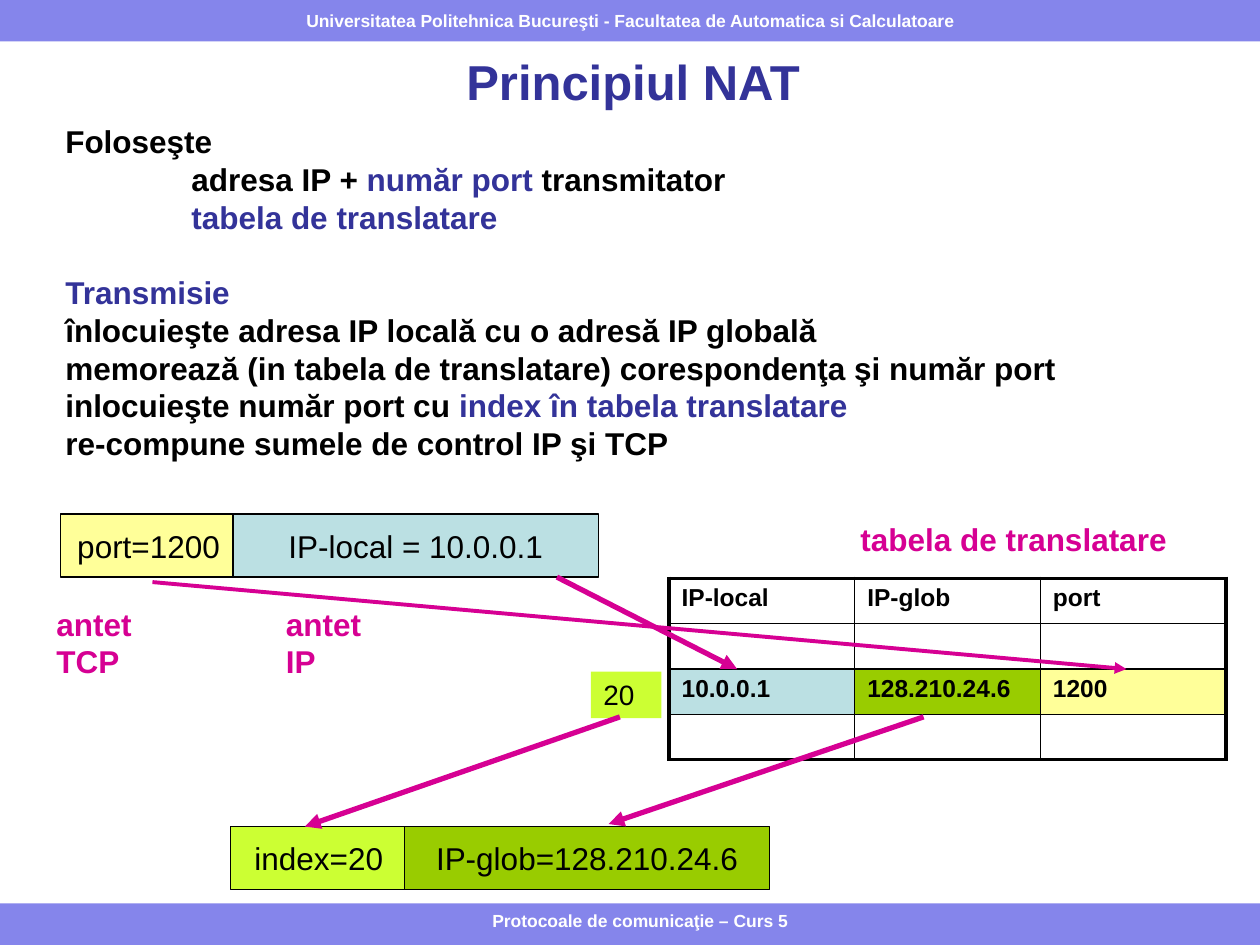
from pptx import Presentation
from pptx.dml.color import RGBColor
from pptx.enum.shapes import MSO_CONNECTOR, MSO_SHAPE
from pptx.enum.text import MSO_ANCHOR, PP_ALIGN
from pptx.oxml.ns import qn
from pptx.util import Inches, Pt
from lxml.etree import SubElement

COLORS = {
    "band": "8585EB",
    "white": "FFFFFF",
    "black": "000000",
    "navy": "333399",
    "magenta": "D60093",
    "yellow": "FFFF99",
    "aqua": "BBE0E3",
    "lime": "CCFF33",
    "green": "99CC00",
}

BODY = [
    (0, 0, [("Foloseşte", "black")]),
    (1, 0, [("adresa IP + ", "black"), ("număr port", "navy"), (" transmitator", "black")]),
    (1, 0, [("tabela de translatare", "navy")]),
    (0, 21.5, [("Transmisie", "navy")]),
    (0, 0, [("înlocuieşte adresa IP locală cu o adresă IP globală", "black")]),
    (0, 0, [("memorează (in tabela de translatare) corespondenţa şi număr port", "black")]),
    (0, 0, [("inlocuieşte număr port cu ", "black"), ("index în tabela translatare", "navy")]),
    (0, 0, [("re-compune sumele de control IP şi TCP", "black")]),
]

TABLE_ROWS = [
    ["IP-local", "IP-glob", "port"],
    ["", "", ""],
    ["10.0.0.1", "128.210.24.6", "1200"],
    ["", "", ""],
]
ENTRY_ROW = 2
ENTRY_FILLS = ["aqua", "green", "yellow"]


def rgb(name):
    return RGBColor.from_string(COLORS[name])


def format_font(font, size, color, bold):
    font.name = "Arial"
    font.size = Pt(size)
    font.bold = bold
    font.color.rgb = rgb(color)


def write_text(shape, text, size, color, bold, align, anchor, wrap=True):
    text_frame = shape.text_frame
    text_frame.text = text
    text_frame.word_wrap = wrap
    text_frame.vertical_anchor = anchor
    paragraph = text_frame.paragraphs[0]
    paragraph.alignment = align
    format_font(paragraph.runs[0].font, size, color, bold)


def add_label(slide, box, text, size, color, align=PP_ALIGN.LEFT, anchor=MSO_ANCHOR.TOP):
    shape = slide.shapes.add_textbox(*map(Inches, box))
    write_text(shape, text, size, color, True, align, anchor)


def add_box(slide, box, fill, outlined=False):
    shape = slide.shapes.add_shape(MSO_SHAPE.RECTANGLE, *map(Inches, box))
    shape.shadow.inherit = False
    shape.fill.solid()
    shape.fill.fore_color.rgb = rgb(fill)
    if outlined:
        shape.line.color.rgb = rgb("black")
        shape.line.width = Pt(0.75)
    else:
        shape.line.fill.background()
    return shape


def add_field(slide, left, top, width, text, fill):
    shape = add_box(slide, (left, top, width, 0.5), fill, outlined=True)
    write_text(shape, text, 18, "black", False, PP_ALIGN.CENTER, MSO_ANCHOR.MIDDLE, wrap=False)


def add_body(slide):
    shape = slide.shapes.add_textbox(Inches(0.42), Inches(0.92), Inches(9.21), Inches(2.8))
    text_frame = shape.text_frame
    text_frame.word_wrap = True
    for index, (indent, space_before, parts) in enumerate(BODY):
        paragraph = text_frame.add_paragraph() if index else text_frame.paragraphs[0]
        if indent:
            paragraph._p.get_or_add_pPr().set("marL", str(Inches(indent)))
        if space_before:
            paragraph.space_before = Pt(space_before)
        for text, color in parts:
            run = paragraph.add_run()
            run.text = text
            format_font(run.font, 18, color, True)


def add_border(cell, side, width):
    properties = cell._tc.get_or_add_tcPr()
    line = SubElement(properties, qn(f"a:ln{side}"), w=str(Pt(width)))
    fill = SubElement(line, qn("a:solidFill"))
    SubElement(fill, qn("a:srgbClr"), val=COLORS["black"])


def add_translation_table(slide):
    row_count, column_count = len(TABLE_ROWS), len(TABLE_ROWS[0])
    frame = slide.shapes.add_table(
        row_count, column_count, Inches(5.31), Inches(4.59), Inches(4.42), Inches(1.44)
    )
    table = frame.table
    table.first_row = False
    table.horz_banding = False
    for row, texts in enumerate(TABLE_ROWS):
        for column, text in enumerate(texts):
            cell = table.cell(row, column)
            cell.margin_bottom = 0
            outer_sides = {
                "L": column == 0,
                "R": column == column_count - 1,
                "T": row == 0,
                "B": row == row_count - 1,
            }
            for side, is_outer in outer_sides.items():
                add_border(cell, side, 2.25 if is_outer else 1)
            if row == ENTRY_ROW:
                cell.fill.solid()
                cell.fill.fore_color.rgb = rgb(ENTRY_FILLS[column])
            else:
                cell.fill.background()
            if text:
                cell.text_frame.text = text
                format_font(cell.text_frame.paragraphs[0].runs[0].font, 14, "black", True)


def add_arrow(slide, start, end, width=3):
    connector = slide.shapes.add_connector(
        MSO_CONNECTOR.STRAIGHT, *map(Inches, (*start, *end))
    )
    connector.line.color.rgb = rgb("magenta")
    connector.line.width = Pt(width)
    SubElement(connector.line._get_or_add_ln(), qn("a:tailEnd"), type="triangle")
    SubElement(connector._element.spPr, qn("a:effectLst"))


def main():
    presentation = Presentation()
    presentation.slide_width = Inches(10)
    presentation.slide_height = Inches(7.5)
    slide = presentation.slides.add_slide(presentation.slide_layouts[6])

    add_box(slide, (0, 7.17, 10, 0.33), "band")
    header = add_box(slide, (0, 0, 10, 0.33), "band")
    write_text(
        header, "Universitatea Politehnica Bucureşti - Facultatea de Automatica si Calculatoare",
        10, "white", True, PP_ALIGN.CENTER, MSO_ANCHOR.MIDDLE, wrap=False,
    )
    add_label(slide, (0.44, 0.38, 9.17, 0.53), "Principiul NAT", 28, "navy",
              PP_ALIGN.CENTER, MSO_ANCHOR.MIDDLE)
    add_body(slide)

    add_field(slide, 0.48, 4.08, 1.4, "port=1200", "yellow")
    add_field(slide, 1.85, 4.08, 2.9, "IP-local = 10.0.0.1", "aqua")
    add_field(slide, 1.83, 6.56, 1.4, "index=20", "lime")
    add_field(slide, 3.21, 6.56, 2.9, "IP-glob=128.210.24.6", "green")
    add_translation_table(slide)
    entry_index = add_box(slide, (4.69, 5.33, 0.56, 0.37), "lime")
    write_text(entry_index, "20", 16, "black", False, PP_ALIGN.LEFT, MSO_ANCHOR.TOP)

    add_arrow(slide, (1.21, 4.62), (8.94, 5.31), 2.25)
    add_arrow(slide, (4.42, 4.58), (5.85, 5.31))
    add_arrow(slide, (4.92, 5.69), (2.42, 6.56))
    add_arrow(slide, (7.33, 5.69), (4.83, 6.54))

    add_label(slide, (0.35, 4.75, 0.94, 0.7), "antet TCP", 18, "magenta")
    add_label(slide, (2.17, 4.75, 0.98, 0.7), "antet IP", 18, "magenta")
    add_label(slide, (6.73, 4.08, 2.88, 0.4), "tabela de translatare", 18, "magenta")
    add_label(slide, (2.58, 7.17, 5, 0.33), "Protocoale de comunicaţie – Curs 5", 10,
              "white", PP_ALIGN.CENTER)

    presentation.save("out.pptx")


if __name__ == "__main__":
    main()
